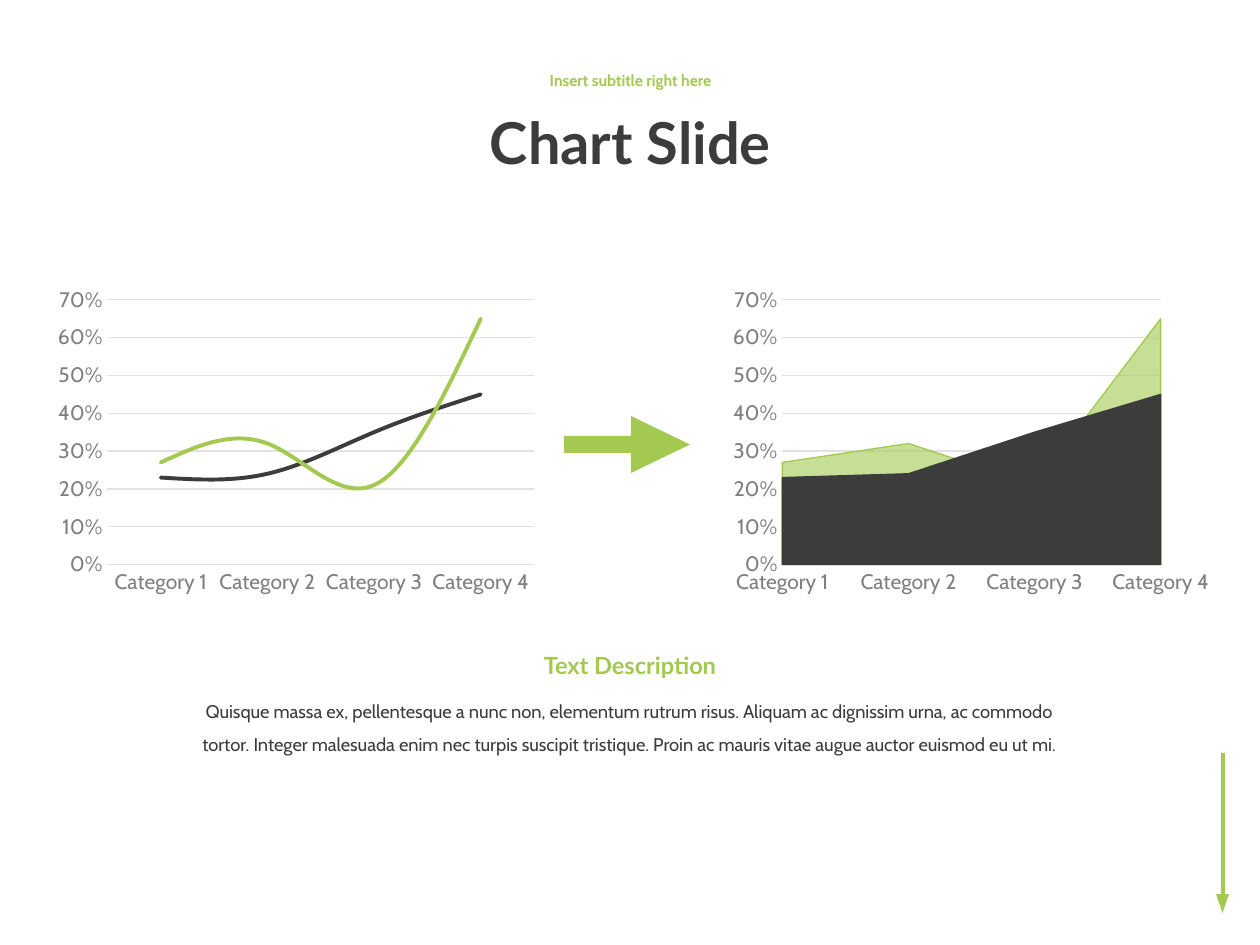
from dataclasses import dataclass

import pptx
import pptx.chart.data
import pptx.dml.color
import pptx.enum.chart
import pptx.enum.shapes
import pptx.enum.text
import pptx.oxml
import pptx.oxml.ns
import pptx.util

PX = 914400 // 126  # EMU per px
COLORS = {"green": "A3C951", "dark": "3C3C3C", "grey": "808080", "grid": "E2E2E2"}
CHART_TYPE = pptx.enum.chart.XL_CHART_TYPE
SHAPE = pptx.enum.shapes.MSO_SHAPE
ANCHOR = pptx.enum.text.MSO_ANCHOR

CATEGORIES = ["Category 1", "Category 2", "Category 3", "Category 4"]
SERIES = [
    ("Series 1", (0.23, 0.24, 0.35, 0.45), "dark"),
    ("Series 2", (0.27, 0.32, 0.21, 0.65), "green"),
]


@dataclass
class Box:
    x: int
    y: int
    w: int
    h: int

    def emu(self) -> list[int]:
        return [v * PX for v in (self.x, self.y, self.w, self.h)]


@dataclass
class Label:
    box: Box
    text: str
    size: float
    font: str
    color: str
    bold: bool = True
    spacing: float = 1.0
    anchor: ANCHOR = ANCHOR.TOP


@dataclass
class Part:
    kind: SHAPE
    box: Box
    rotation: int = 0


@dataclass
class Plot:
    kind: CHART_TYPE
    box: Box


LABELS = [
    Label(Box(276, 81, 709, 130), "Chart Slide", 33, "Lato", "dark",
          spacing=0.9, anchor=ANCHOR.MIDDLE),
    Label(Box(276, 57, 709, 48), "Insert subtitle right here", 9, "Cabin", "green",
          spacing=0.9, anchor=ANCHOR.MIDDLE),
    Label(Box(181, 683, 897, 76),
          "Quisque massa ex, pellentesque a nunc non, elementum rutrum risus. "
          "Aliquam ac dignissim urna, ac commodo tortor. Integer malesuada enim nec "
          "turpis suscipit tristique. Proin ac mauris vitae augue auctor euismod eu ut mi.",
          10.5, "Cabin", "dark", bold=False, spacing=1.5),
    Label(Box(492, 645, 276, 42), "Text Description", 13.5, "Lato", "green"),
]

ARROW_PARTS = [
    # Down arrow in the corner
    Part(SHAPE.RECTANGLE, Box(1221, 753, 4, 141)),
    Part(SHAPE.ISOSCELES_TRIANGLE, Box(1216, 894, 13, 19), 180),
    # Arrow between the charts
    Part(SHAPE.RECTANGLE, Box(564, 436, 67, 17)),
    Part(SHAPE.ISOSCELES_TRIANGLE, Box(632, 415, 57, 59), 90),
]

PLOTS = [
    Plot(CHART_TYPE.LINE, Box(48, 281, 496, 320)),
    Plot(CHART_TYPE.AREA, Box(723, 281, 496, 320)),
]


def rgb(name: str) -> pptx.dml.color.RGBColor:
    return pptx.dml.color.RGBColor.from_string(COLORS[name])


def style_font(font, name: str, size: float, color: str, bold: bool = False) -> None:
    font.name = name
    font.size = pptx.util.Pt(size)
    font.bold = bold
    font.color.rgb = rgb(color)


def style_line(line, color: str, width: float) -> None:
    line.color.rgb = rgb(color)
    line.width = pptx.util.Pt(width)


def add_label(s, label: Label) -> None:
    tf = s.shapes.add_textbox(*label.box.emu()).text_frame
    tf.word_wrap = True
    tf.vertical_anchor = label.anchor
    tf.text = label.text
    p = tf.paragraphs[0]
    p.alignment = pptx.enum.text.PP_ALIGN.CENTER
    p.line_spacing = label.spacing
    style_font(p.runs[0].font, label.font, label.size, label.color, label.bold)


def add_part(s, part: Part) -> None:
    sp = s.shapes.add_shape(part.kind, *part.box.emu())
    sp.rotation = part.rotation
    sp.shadow.inherit = False
    sp.fill.solid()
    sp.fill.fore_color.rgb = rgb("green")
    sp.line.fill.background()


def add_plot(s, plot: Plot) -> None:
    data = pptx.chart.data.CategoryChartData(number_format="0%")
    data.categories = CATEGORIES
    for name, values, _ in SERIES:
        data.add_series(name, values)
    chart = s.shapes.add_chart(plot.kind, *plot.box.emu(), data).chart
    chart.has_legend = False
    chart.has_title = False
    style_font(chart.font, "Cabin", 10, "dark")
    chart.plots[0].vary_by_categories = False

    # Axes
    cat, val = chart.category_axis, chart.value_axis
    for axis in (cat, val):
        axis.major_tick_mark = axis.minor_tick_mark = pptx.enum.chart.XL_TICK_MARK.NONE
        style_font(axis.tick_labels.font, "Cabin", 12, "grey")
    cat.has_major_gridlines = False
    style_line(cat.format.line, "grid", 0.75)
    val.format.line.fill.background()
    val.has_major_gridlines = True
    style_line(val.major_gridlines.format.line, "grid", 0.75)
    val.minimum_scale, val.maximum_scale, val.major_unit = 0, 0.7, 0.1
    val.tick_labels.number_format = "0%"
    val.tick_labels.number_format_is_linked = False

    # Series
    is_line = plot.kind == CHART_TYPE.LINE
    for ser, (_, _, color) in zip(chart.plots[0].series, SERIES):
        style_line(ser.format.line, color, 2.25 if is_line else 0.75)
        if is_line:
            ser.smooth = True
            ser.format.line._get_or_add_ln().set("cap", "rnd")
            continue
        ser.format.fill.solid()
        ser.format.fill.fore_color.rgb = rgb(color)
        if color == "green":
            fill = ser.format.fill._xPr.find(pptx.oxml.ns.qn("a:solidFill"))
            alpha = pptx.oxml.parse_xml(
                f'<a:alpha {pptx.oxml.ns.nsdecls("a")} val="60000"/>')
            fill[0].append(alpha)
    if not is_line:  # areas reach both edges of the plot
        cross = val._element.find(pptx.oxml.ns.qn("c:crossBetween"))
        if cross is not None:
            cross.set("val", "midCat")


def main() -> None:
    prs = pptx.Presentation()
    prs.slide_width, prs.slide_height = pptx.util.Inches(10), pptx.util.Inches(7.5)
    s = prs.slides.add_slide(prs.slide_layouts[6])
    for part in ARROW_PARTS:
        add_part(s, part)
    for plot in PLOTS:
        add_plot(s, plot)
    for label in LABELS:
        add_label(s, label)
    prs.save("out.pptx")


if __name__ == "__main__":
    main()
